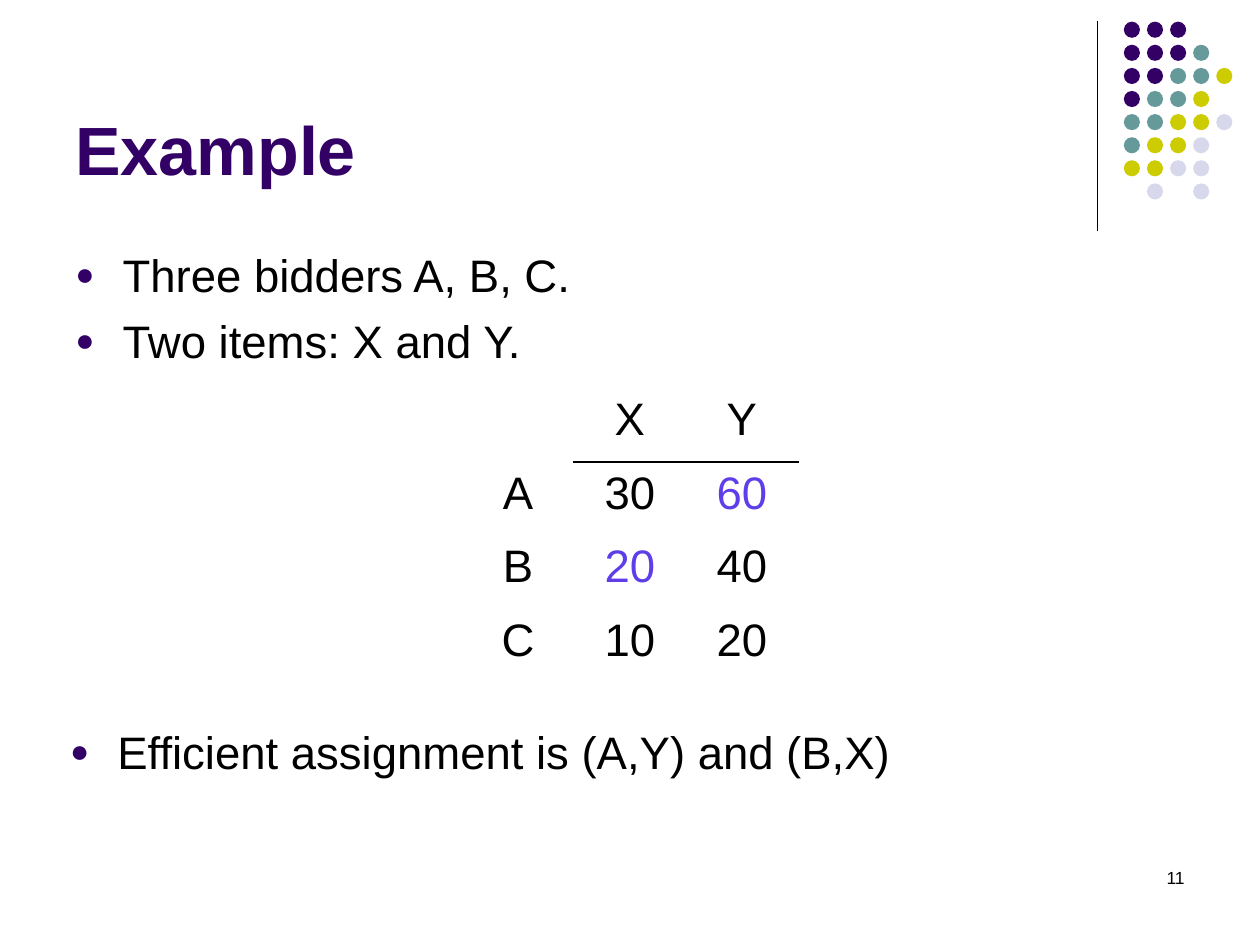
from lxml import etree
from pptx import Presentation
from pptx.dml.color import RGBColor
from pptx.enum import shapes, text
from pptx.oxml import ns
from pptx.util import Pt

THEME = {
    "font": "Arial",
    "purple": "330066", "teal": "669999", "lime": "CCCC00", "lilac": "D8D8EC",
    "ink": "000000", "highlight": "5F3EEA",
    "title": 39, "body": 26, "number": 10,
}

TITLE = "Example"
SETUP = ["Three bidders A, B, C.", "Two items: X and Y."]
CONCLUSION = ["Efficient assignment is (A,Y) and (B,X)"]
SLIDE_NUMBER = "11"
BIDS = [
    ["", "X", "Y"],
    ["A", "30", "60"],
    ["B", "20", "40"],
    ["C", "10", "20"],
]
ASSIGNED = {(1, 2), (2, 1)}

DOT_ROWS = ["PPP", "PPPT", "PPTTL", "PTTL", "TTLLV", "TLLV", "LLVV", " V V"]
DOT_COLORS = {"P": "purple", "T": "teal", "L": "lime", "V": "lilac"}
DOT_LEFT, DOT_TOP, DOT_PITCH, DOT_SIZE = 642.2, 12.4, 13.2, 9.2

TABLE_LEFT, TABLE_TOP, COLUMN_WIDTH, ROW_HEIGHT = 264, 222, 64, 42


def rgb(name):
    return RGBColor.from_string(THEME[name])


def add_element(parent, tag, **attributes):
    return etree.SubElement(parent, ns.qn(tag), attributes)


def format_font(paragraph, size, color="ink", bold=False):
    for run in paragraph.runs:
        run.font.name = THEME["font"]
        run.font.size = Pt(THEME[size])
        run.font.bold = bold
        run.font.color.rgb = rgb(color)


def add_text(slide, content, box, size, color="ink", bold=False):
    frame = slide.shapes.add_textbox(*map(Pt, box)).text_frame
    frame.word_wrap = True
    frame.text = content
    for paragraph in frame.paragraphs:
        format_font(paragraph, size, color, bold)
    return frame


def add_bullets(slide, lines, box):
    frame = add_text(slide, "\n".join(lines), box, "body")
    frame.margin_top = Pt(6)
    for index, paragraph in enumerate(frame.paragraphs):
        properties = paragraph._p.get_or_add_pPr()
        properties.set("marL", str(Pt(27)))
        properties.set("indent", str(Pt(-27)))
        bullet_color = add_element(properties, "a:buClr")
        add_element(bullet_color, "a:srgbClr", val=THEME["purple"])
        add_element(properties, "a:buSzPct", val="70000")
        add_element(properties, "a:buFont", typeface=THEME["font"])
        add_element(properties, "a:buChar", char="●")
        if index:
            paragraph.space_before = Pt(6.5)


def add_border(cell, side):
    """Draw a 1 pt line on one side of a cell: 'T' or 'B'."""
    line = add_element(cell._tc.get_or_add_tcPr(), f"a:ln{side}", w=str(Pt(1)))
    fill = add_element(line, "a:solidFill")
    add_element(fill, "a:srgbClr", val=THEME["ink"])


def add_bid_table(slide):
    rows, columns = len(BIDS), len(BIDS[0])
    table = slide.shapes.add_table(
        rows, columns, Pt(TABLE_LEFT), Pt(TABLE_TOP),
        Pt(columns * COLUMN_WIDTH), Pt(rows * ROW_HEIGHT)).table
    table.first_row = table.horz_banding = False
    for r, values in enumerate(BIDS):
        for c, value in enumerate(values):
            cell = table.cell(r, c)
            if c and r < 2:
                add_border(cell, "BT"[r])
            cell.fill.background()
            cell.text = value
            paragraph = cell.text_frame.paragraphs[0]
            paragraph.alignment = text.PP_ALIGN.CENTER
            format_font(paragraph, "body", "highlight" if (r, c) in ASSIGNED else "ink")


def add_dots(slide):
    group = slide.shapes.add_group_shape()
    for r, row in enumerate(DOT_ROWS):
        for c, key in enumerate(row):
            if key not in DOT_COLORS:
                continue
            dot = group.shapes.add_shape(
                shapes.MSO_SHAPE.OVAL,
                Pt(DOT_LEFT + c * DOT_PITCH), Pt(DOT_TOP + r * DOT_PITCH),
                Pt(DOT_SIZE), Pt(DOT_SIZE))
            dot.shadow.inherit = False
            dot.fill.solid()
            dot.fill.fore_color.rgb = rgb(DOT_COLORS[key])
            dot.line.fill.background()


def add_divider(slide):
    divider = slide.shapes.add_connector(
        shapes.MSO_CONNECTOR.STRAIGHT, Pt(627), Pt(12), Pt(627), Pt(132))
    divider.line.color.rgb = rgb("ink")
    divider.line.width = Pt(0.75)
    add_element(divider._element.spPr, "a:effectLst")


def main():
    presentation = Presentation()
    presentation.slide_width, presentation.slide_height = Pt(720), Pt(540)
    slide = presentation.slides.add_slide(presentation.slide_layouts[6])

    add_divider(slide)
    add_dots(slide)
    title = add_text(slide, TITLE, (36, 9.5, 594, 102), "title", "purple", bold=True)
    title.vertical_anchor = text.MSO_ANCHOR.BOTTOM
    add_bullets(slide, SETUP, (36, 135, 654, 81))
    add_bid_table(slide)
    add_bullets(slide, CONCLUSION, (33, 408, 654, 86))
    number = add_text(slide, SLIDE_NUMBER, (516, 492, 168, 36), "number")
    number.paragraphs[0].alignment = text.PP_ALIGN.RIGHT

    presentation.save("out.pptx")


if __name__ == "__main__":
    main()
